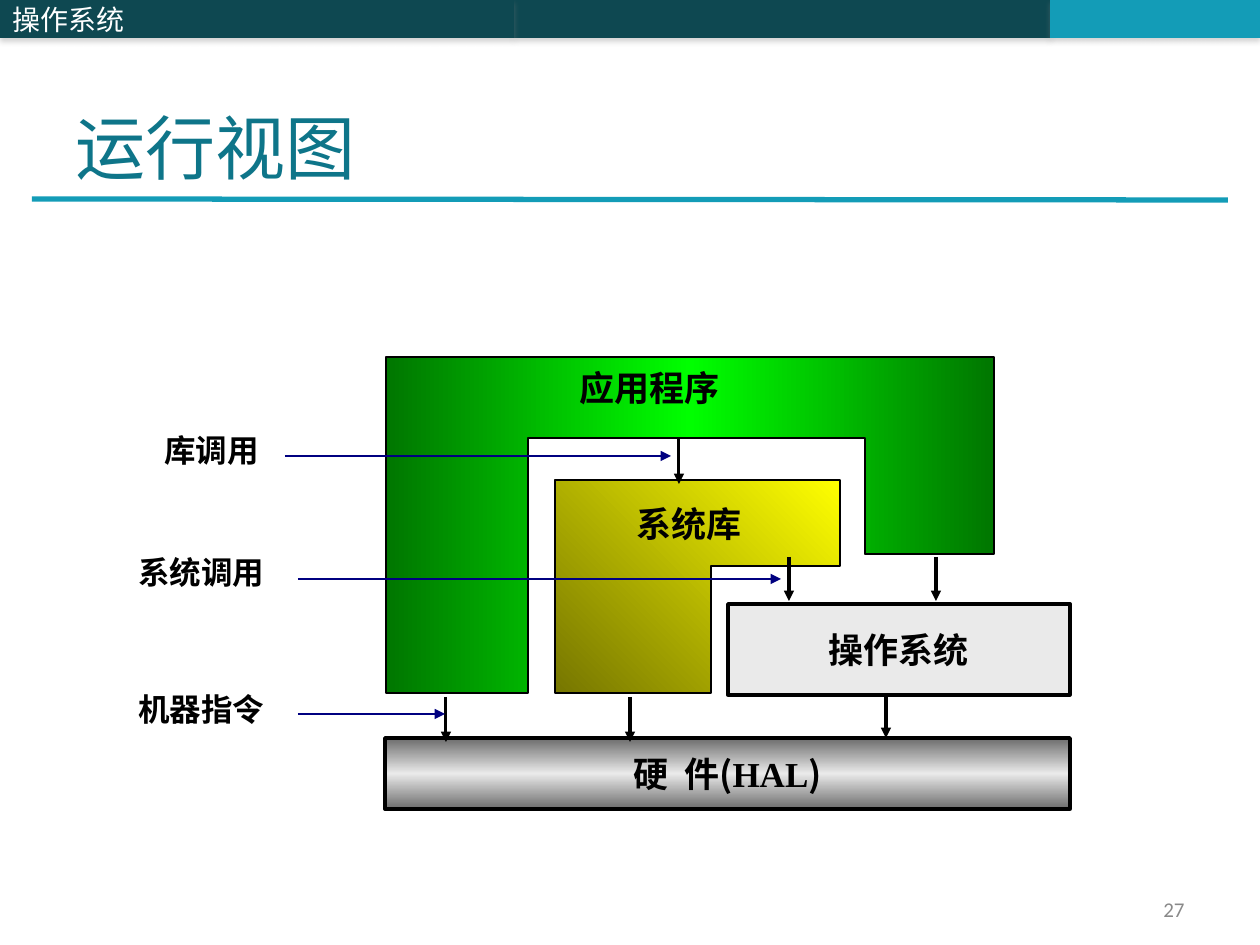
import pptx
import pptx.util
import pptx.oxml.ns
from lxml import etree
from pptx.dml.color import RGBColor
from pptx.enum.shapes import MSO_CONNECTOR, MSO_SHAPE
from pptx.enum.text import MSO_ANCHOR, PP_ALIGN
from dataclasses import dataclass

EMU_PER_PX = 914400 / 126
qn = pptx.oxml.ns.qn


@dataclass(frozen=True)
class Theme:
    latin: str = "Times New Roman"
    chinese: str = "Noto Sans CJK SC"
    number: str = "Calibri"
    dark_teal: str = "0E4851"
    teal: str = "139CB7"
    title: str = "0E7589"
    white: str = "FFFFFF"
    black: str = "000000"
    gray: str = "898989"
    silver: str = "EAEAEA"
    navy: str = "000080"
    steel_stops: tuple = ((0, "6C6C6C"), (50, "EAEAEA"), (100, "6C6C6C"))
    green_stops: tuple = ((0, "007600"), (50, "00FF00"), (100, "007600"))
    yellow_stops: tuple = ((0, "767600"), (100, "FFFF00"))
    title_size: int = 40
    block_size: int = 20
    label_size: int = 18
    header_size: int = 16
    number_size: int = 12


THEME = Theme()


def px(length):
    return pptx.util.Emu(round(length * EMU_PER_PX))


def color(value):
    return RGBColor.from_string(value)


def add_element(parent, tag, **attributes):
    return etree.SubElement(parent, qn(tag), {k: str(v) for k, v in attributes.items()})


def set_line(line, value, width):
    line.color.rgb = color(value)
    line.width = pptx.util.Pt(width)


def set_solid(shape, value, opacity=100):
    shape.fill.solid()
    shape.fill.fore_color.rgb = color(value)
    if opacity < 100:
        rgb = shape.element.spPr.find(qn("a:solidFill"))[0]
        add_element(rgb, "a:alpha", val=opacity * 1000)


def set_gradient(shape, stops, angle):
    """Angle is counter-clockwise, in degrees."""
    shape.fill.gradient()
    shape.fill.gradient_angle = angle
    stop_list = shape.element.spPr.find(".//" + qn("a:gsLst"))
    for stop in list(stop_list):
        stop_list.remove(stop)
    for position, value in stops:
        stop = add_element(stop_list, "a:gs", pos=position * 1000)
        add_element(stop, "a:srgbClr", val=value)


def write_text(shape, spans, size, value, align=PP_ALIGN.LEFT,
               anchor=MSO_ANCHOR.TOP, bold=False, wrap=True):
    """Fill one paragraph with (text, font name) spans."""
    frame = shape.text_frame
    frame.word_wrap = wrap
    frame.vertical_anchor = anchor
    para = frame.paragraphs[0]
    para.alignment = align
    for text, font_name in spans:
        span = para.add_run()
        span.text = text
        formats = {"name": font_name, "size": pptx.util.Pt(size), "bold": bold}
        for key, setting in formats.items():
            setattr(span.font, key, setting)
        span.font.color.rgb = color(value)
        add_element(span.font._element, "a:ea", typeface=THEME.chinese)


def add_text(page, bounds, text, size, value, font_name=THEME.latin, **options):
    box = page.shapes.add_textbox(*map(px, bounds))
    write_text(box, [(text, font_name)], size, value, **options)


def add_box(page, bounds):
    box = page.shapes.add_shape(MSO_SHAPE.RECTANGLE, *map(px, bounds))
    box.shadow.inherit = False
    return box


def add_header_bar(page, left, right, value):
    bar = add_box(page, (left, 0, right - left, 38))
    set_solid(bar, value)
    bar.line.fill.background()
    effects = bar.element.spPr.find(qn("a:effectLst"))
    shadow = add_element(effects, "a:outerShdw", blurRad=40000, dist=23000,
                         dir=5400000, rotWithShape=0)
    gray = add_element(shadow, "a:srgbClr", val="808080")
    add_element(gray, "a:alpha", val=35000)
    return bar


def add_block(page, points, stops, angle):
    builder = page.shapes.build_freeform(*points[0], scale=EMU_PER_PX)
    builder.add_line_segments(points[1:], close=True)
    block = builder.convert_to_shape()
    block.shadow.inherit = False
    set_gradient(block, stops, angle)
    set_line(block.line, THEME.black, 0.75)


def add_line(page, ends, value, width, arrow=True):
    line = page.shapes.add_connector(MSO_CONNECTOR.STRAIGHT, *map(px, ends))
    set_line(line.line, value, width)
    if arrow:
        add_element(line.line._get_or_add_ln(), "a:tailEnd", type="triangle")
    add_element(line.element.spPr, "a:effectLst")


def add_page_frame(page):
    add_header_bar(page, 514, 1050, THEME.dark_teal)
    add_header_bar(page, 1050, 1260, THEME.teal)
    add_line(page, (32, 199, 1228, 200), THEME.teal, 3, arrow=False)
    bar = add_header_bar(page, 0, 514, THEME.dark_teal)
    write_text(bar, [("操作系统", THEME.chinese)], THEME.header_size, THEME.white,
               anchor=MSO_ANCHOR.MIDDLE)
    add_text(page, (63, 38, 1134, 157), "运行视图", THEME.title_size, THEME.title,
             anchor=MSO_ANCHOR.BOTTOM)
    add_text(page, (903, 892, 294, 34), "27", THEME.number_size, THEME.gray,
             THEME.number, align=PP_ALIGN.RIGHT, anchor=MSO_ANCHOR.MIDDLE)


def add_layers(page):
    centered = {"align": PP_ALIGN.CENTER, "anchor": MSO_ANCHOR.MIDDLE,
                "bold": True, "wrap": False}
    hardware = add_box(page, (385, 738, 685, 71))
    set_gradient(hardware, THEME.steel_stops, 270)
    system = add_box(page, (728, 604, 342, 91))
    set_solid(system, THEME.silver, opacity=96)
    hardware_spans = [("硬  件", THEME.latin), ("(", THEME.chinese),
                      ("HAL", THEME.latin), (")", THEME.chinese)]
    for box, spans in ((hardware, hardware_spans),
                       (system, [("操作系统", THEME.latin)])):
        set_line(box.line, THEME.black, 2)
        write_text(box, spans, THEME.block_size, THEME.black, **centered)

    # System library and application outlines
    add_block(page, [(555, 693), (555, 480), (840, 480), (840, 566), (711, 566),
                     (711, 693)], THEME.yellow_stops, 45)
    add_block(page, [(386, 693), (386, 357), (994, 357), (994, 554), (865, 554),
                     (865, 438), (528, 438), (528, 693)], THEME.green_stops, 0)
    add_text(page, (592, 496, 194, 55), "系统库", THEME.block_size, THEME.black,
             align=PP_ALIGN.CENTER, bold=True)
    add_text(page, (567, 360, 208, 55), "应用程序", THEME.block_size, THEME.black,
             bold=True)


def add_calls(page):
    # Arrows between layers: x, top, bottom
    for x, top, bottom in ((446, 697, 742), (630, 697, 742), (886, 693, 738),
                           (789, 557, 601), (936, 557, 601), (679, 438, 484)):
        add_line(page, (x, top, x, bottom), THEME.black, 1.75)

    # Named calls: text, label left, top and width, then arrow start, end and y
    for text, left, top, width, start, end, y in (
            ("库调用", 152, 425, 155, 285, 671, 456),
            ("系统调用", 126, 547, 220, 298, 781, 579),
            ("机器指令", 126, 684, 208, 298, 445, 714)):
        add_text(page, (left, top, width, 50), text, THEME.label_size,
                 THEME.black, bold=True)
        add_line(page, (start, y, end, y), THEME.navy, 1.5)


def main():
    deck = pptx.Presentation()
    deck.slide_width, deck.slide_height = px(1260), px(945)
    page = deck.slides.add_slide(deck.slide_layouts[6])
    add_page_frame(page)
    add_layers(page)
    add_calls(page)
    deck.save("out.pptx")


if __name__ == "__main__":
    main()
